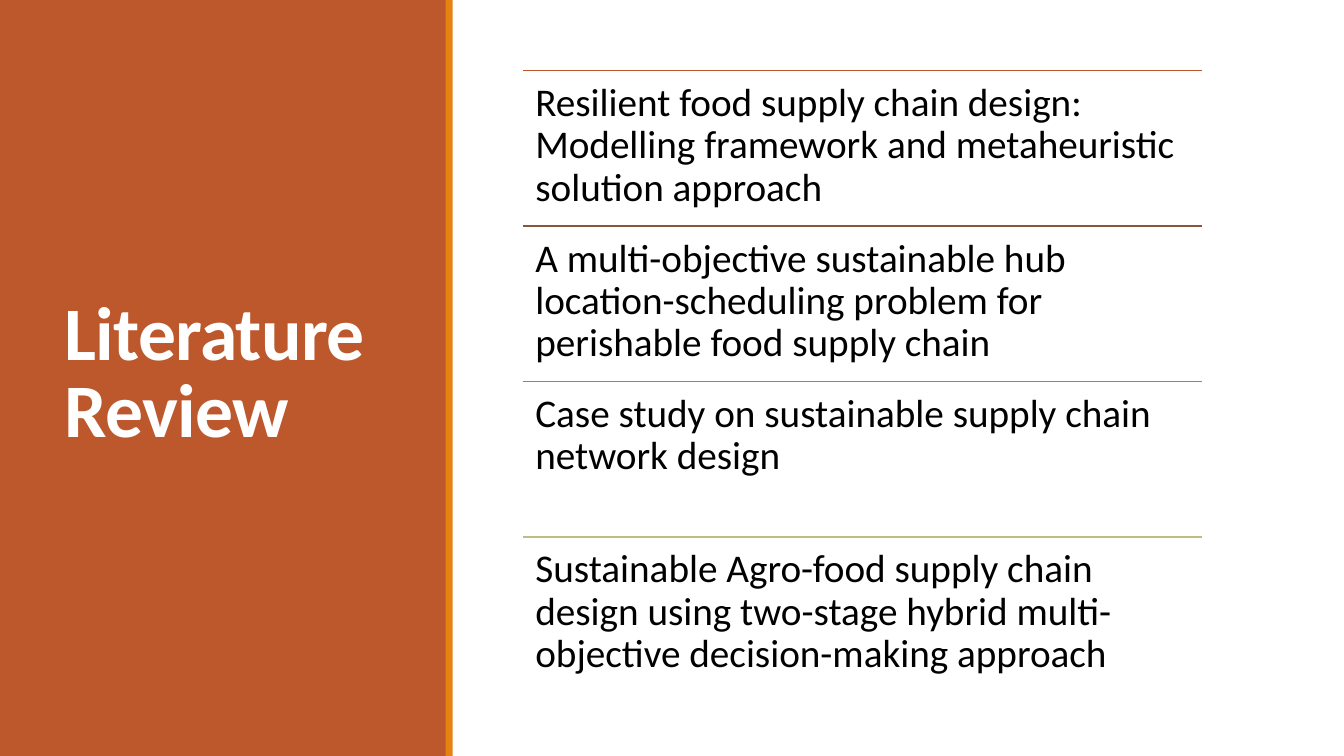
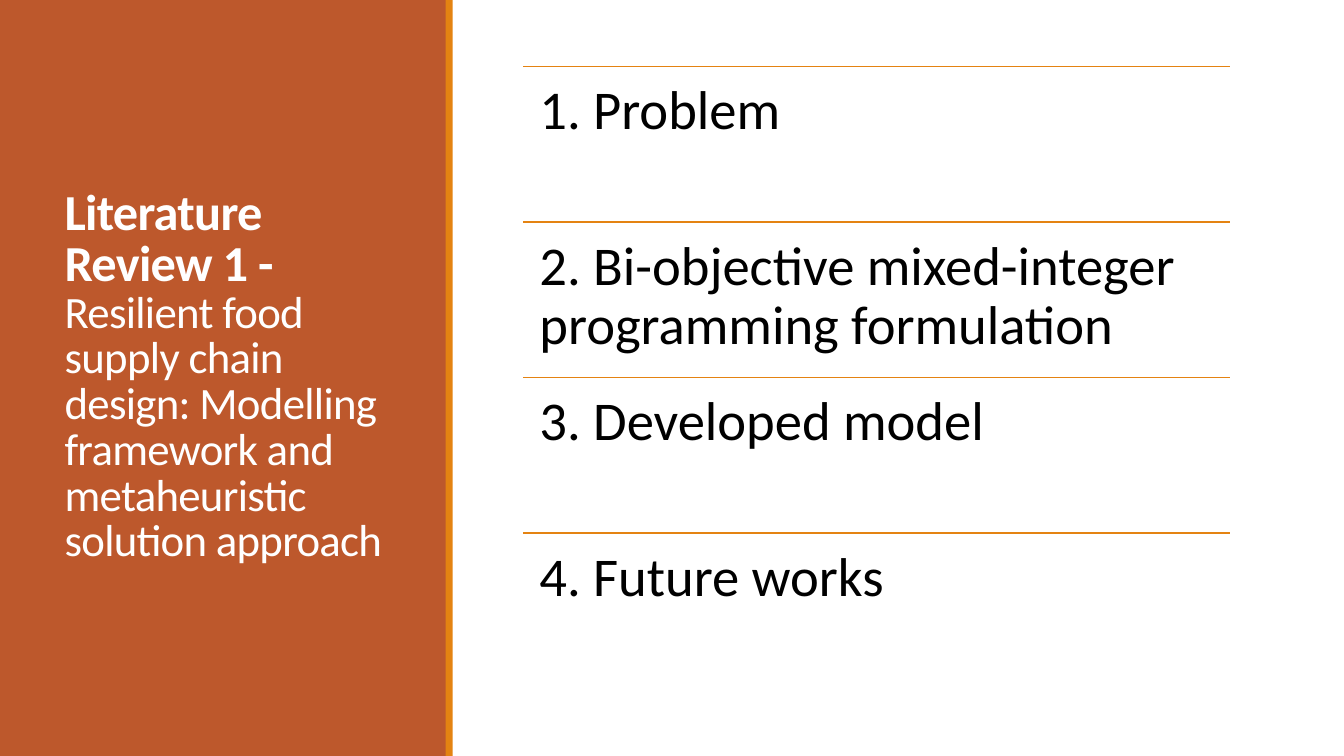
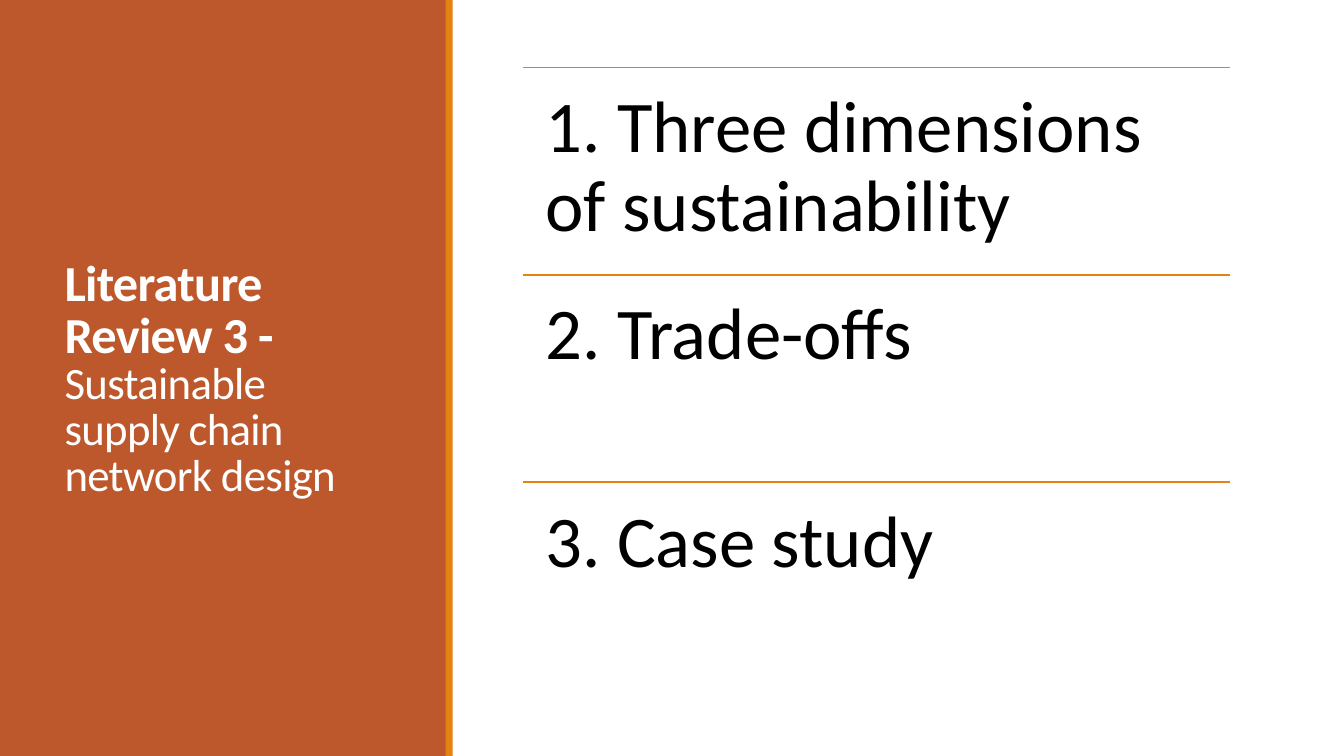
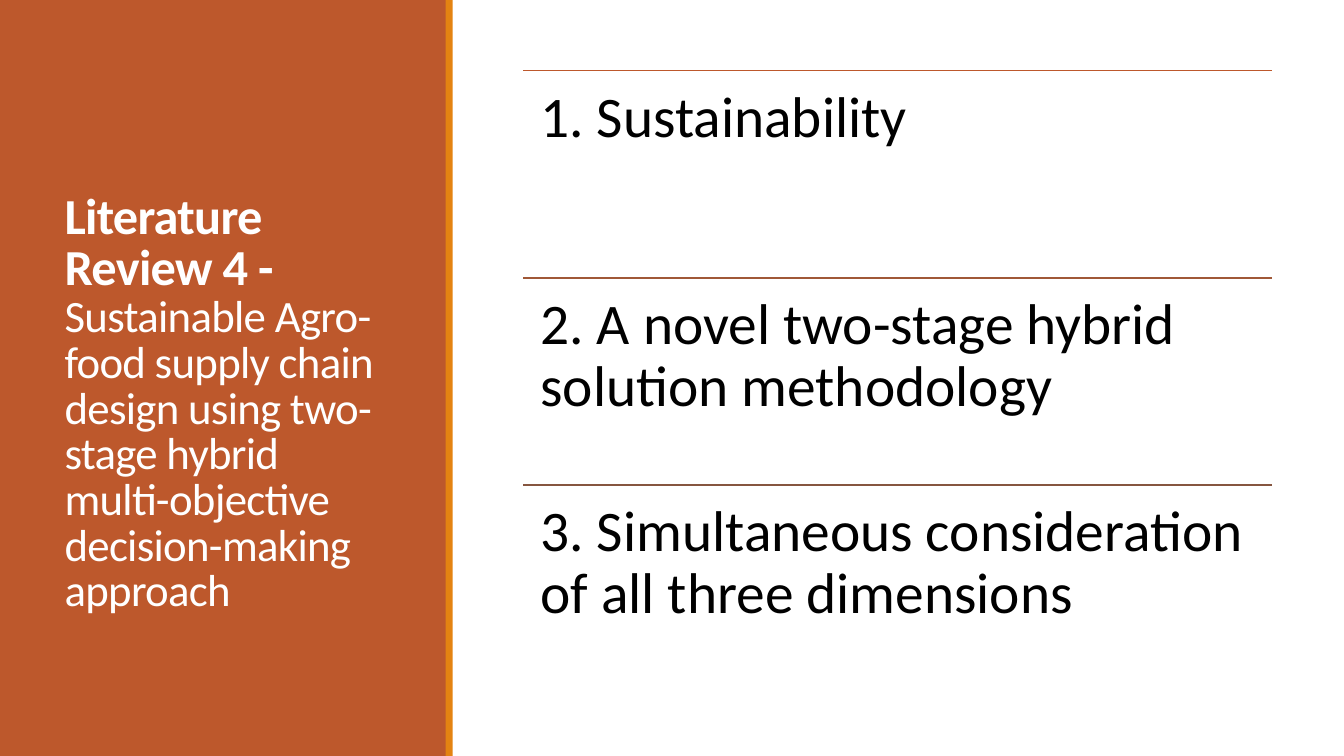
from dataclasses import dataclass

from lxml.etree import SubElement
from pptx import Presentation
from pptx.dml.color import RGBColor
from pptx.enum.shapes import MSO_CONNECTOR, MSO_SHAPE
from pptx.enum.text import MSO_ANCHOR, MSO_AUTO_SIZE, PP_ALIGN
from pptx.oxml.ns import qn
from pptx.util import Inches, Pt


@dataclass(frozen=True)
class Theme:
    font: str = "Calibri"
    rust: str = "BD582C"
    orange: str = "E48312"
    brown: str = "865640"
    sienna: str = "A05837"
    khaki: str = "9B8357"
    sage: str = "C2BC80"
    white: str = "FFFFFF"
    black: str = "000000"
    title_size: int = 54
    heading_size: int = 36
    subject_size: int = 32
    rule_width: float = 1.25


theme = Theme()
LIST_LEFT = 5.19
LIST_HEIGHT = 6.17


def add_run(p, text, size, color, bold=False):
    r = p.add_run()
    r.text = text
    r.font.name = theme.font
    r.font.size = Pt(size)
    r.font.bold = bold
    r.font.color.rgb = RGBColor.from_string(color)
    return r


slides = [
    dict(
        title=[("Literature Review", theme.title_size, True)],
        title_top=0.64, list_top=0.7, width=6.73, inset=0.12, size=28,
        rules=[theme.rust, theme.brown, theme.khaki, theme.sage],
        items=[
            "Resilient food supply chain design: Modelling framework and metaheuristic solution approach",
            "A multi-objective sustainable hub location-scheduling problem for perishable food supply chain",
            "Case study on sustainable supply chain network design",
            "Sustainable Agro-food supply chain design using two-stage hybrid multi-objective decision-making approach",
        ],
    ),
    dict(
        title=[
            ("Literature Review 1 - ", theme.heading_size, True),
            ("Resilient food supply chain design: Modelling framework and metaheuristic solution approach",
             theme.subject_size, False),
        ],
        title_top=0.66, list_top=0.66, width=7.01, inset=0.16, size=39,
        rules=[theme.orange] * 4,
        items=[
            "1. Problem",
            "2. Bi-objective mixed-integer programming formulation",
            "3. Developed model",
            "4.\u00a0Future works",
        ],
    ),
    dict(
        title=[
            ("Literature Review 3 - ", theme.heading_size, True),
            ("Sustainable supply chain network design", theme.subject_size, False),
        ],
        title_top=0.69, list_top=0.67, width=7.01, inset=0.22, size=52,
        rules=[theme.orange] * 3,
        items=["1. Three dimensions of sustainability", "2. Trade-offs", "3. Case study"],
    ),
    dict(
        title=[
            ("Literature Review 4 - ", theme.heading_size, True),
            ("Sustainable\u00a0Agro-food supply chain design using two-stage hybrid multi-objective decision-making approach",
             theme.subject_size, False),
        ],
        title_top=0.93, list_top=0.7, width=7.43, inset=0.17, size=41,
        rules=[theme.rust, theme.sienna, theme.brown],
        items=[
            "1. Sustainability",
            "2.\u00a0A novel two-stage hybrid solution methodology",
            "3. Simultaneous consideration of all three dimensions",
        ],
    ),
]

prs = Presentation()
prs.slide_width = Inches(13.33)
prs.slide_height = Inches(7.5)
layout = prs.slide_layouts.get_by_name("Title Only")

for number, content in enumerate(slides):
    s = prs.slides.add_slide(layout)

    if number == 0:
        for left, width, color in [(0, 4.43, theme.rust), (4.42, 0.07, theme.orange)]:
            band = s.shapes.add_shape(
                MSO_SHAPE.RECTANGLE, Inches(left), 0, Inches(width), prs.slide_height)
            band.shadow.inherit = False
            band.fill.solid()
            band.fill.fore_color.rgb = RGBColor.from_string(color)
            band.line.fill.background()
            layout.shapes.element.append(band.element)

    title = s.shapes.title
    title.left, title.top = Inches(0.54), Inches(content["title_top"])
    title.width, title.height = Inches(3.37), Inches(LIST_HEIGHT)
    tf = title.text_frame
    tf.word_wrap = True
    tf.auto_size = MSO_AUTO_SIZE.NONE
    tf.vertical_anchor = MSO_ANCHOR.MIDDLE
    p = tf.paragraphs[0]
    p.alignment = PP_ALIGN.LEFT
    p.line_spacing = 0.85
    for text, size, bold in content["title"]:
        r = add_run(p, text, size, theme.white, bold)
        r.font._element.set("spc", "-50")

    left, width = Inches(LIST_LEFT), Inches(content["width"])
    row_height = Inches(LIST_HEIGHT / len(content["items"]))
    for row, (item, color) in enumerate(zip(content["items"], content["rules"])):
        top = Inches(content["list_top"]) + row * row_height
        rule = s.shapes.add_connector(MSO_CONNECTOR.STRAIGHT, left, top, left + width, top)
        rule.line.color.rgb = RGBColor.from_string(color)
        rule.line.width = Pt(theme.rule_width)
        SubElement(rule._element.spPr, qn("a:effectLst"))

        sp = s.shapes.add_textbox(left, top, width, row_height)
        tf = sp.text_frame
        tf.word_wrap = True
        tf.margin_left = tf.margin_right = Inches(content["inset"])
        tf.margin_top = tf.margin_bottom = Inches(content["inset"])
        p = tf.paragraphs[0]
        p.line_spacing = 0.9
        add_run(p, item, content["size"], theme.black)

prs.save("out.pptx")
